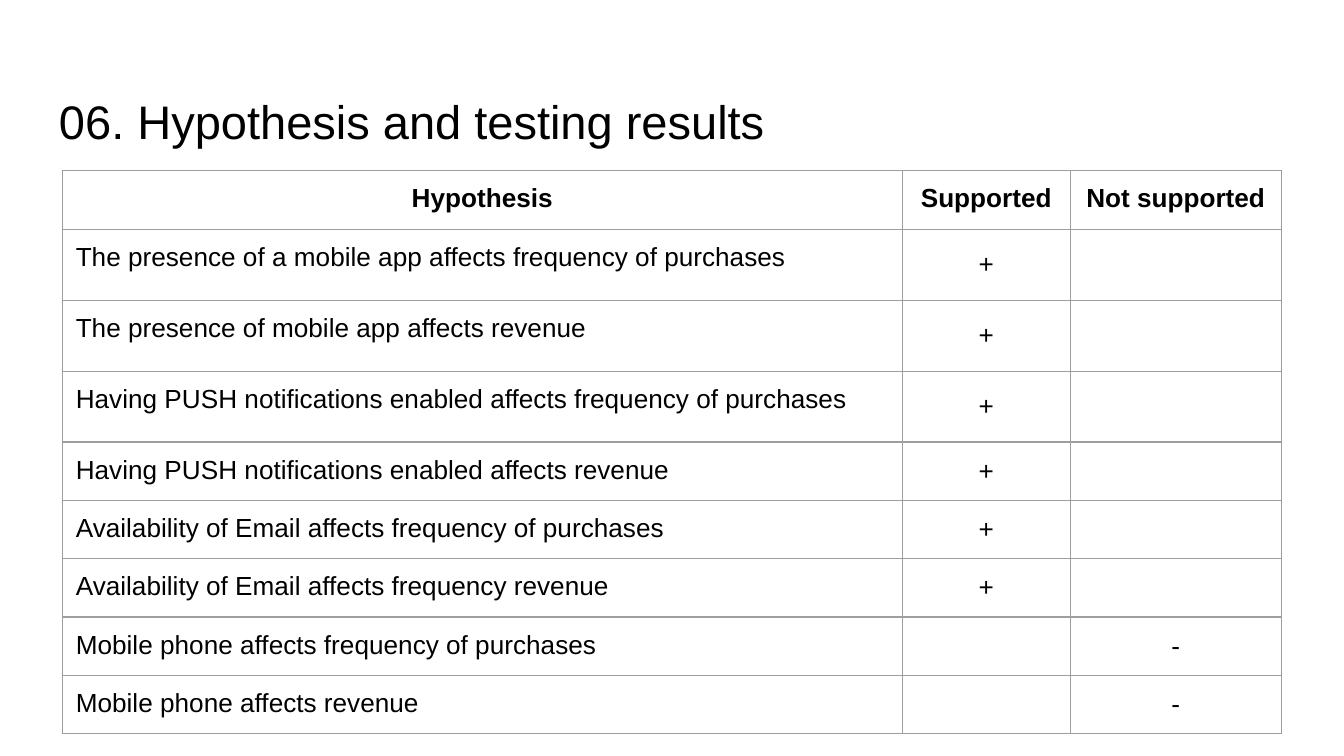
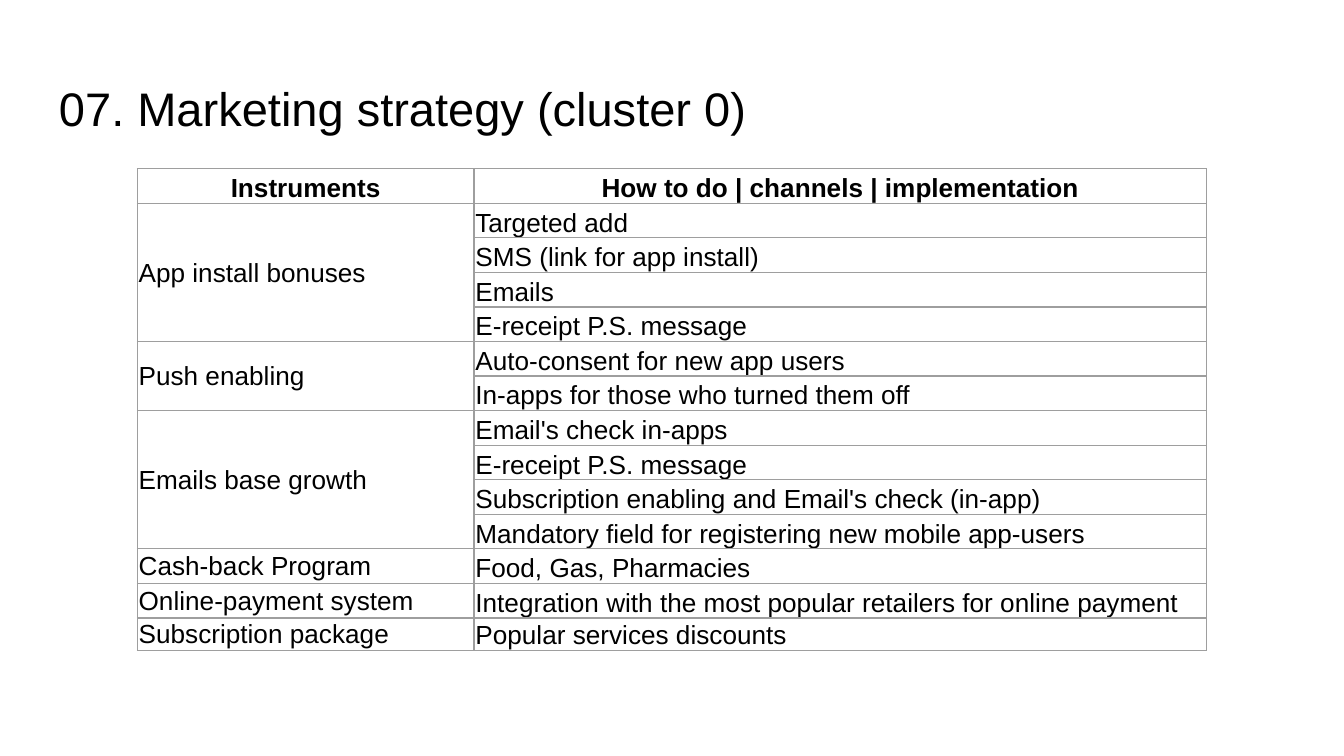
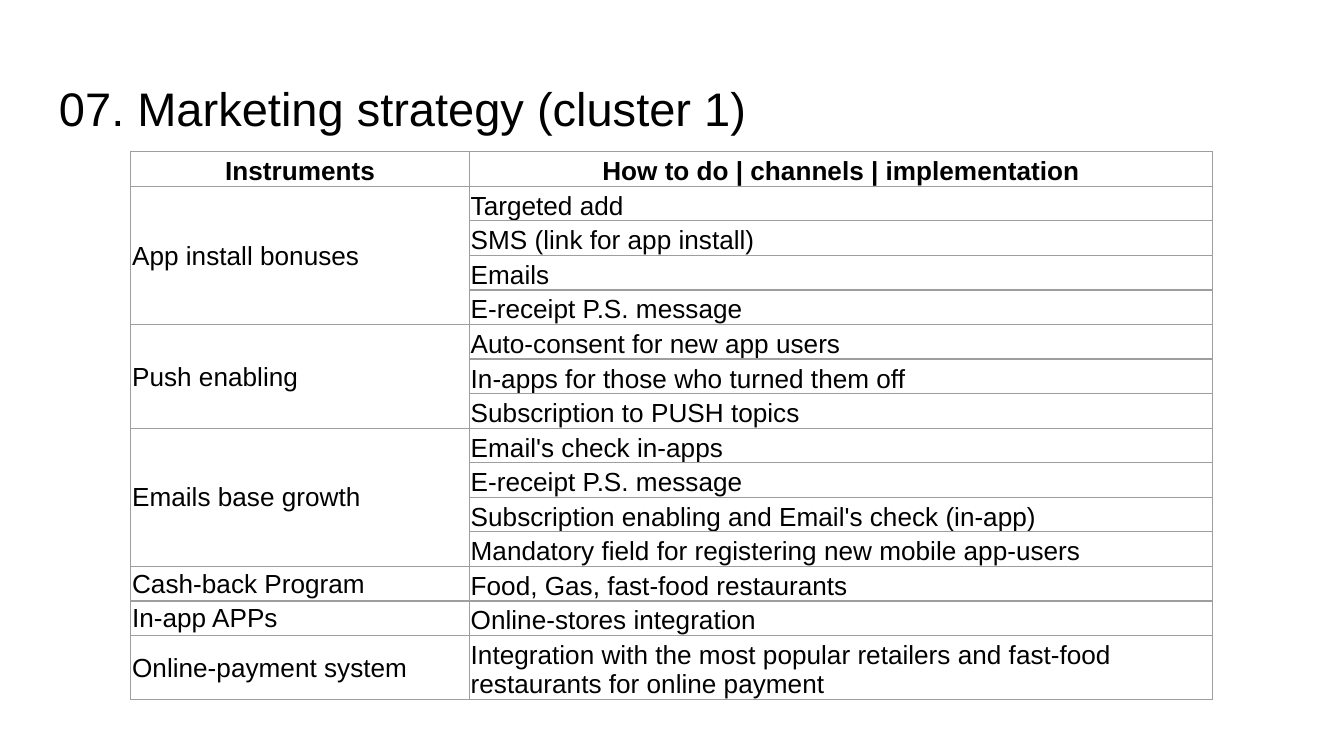
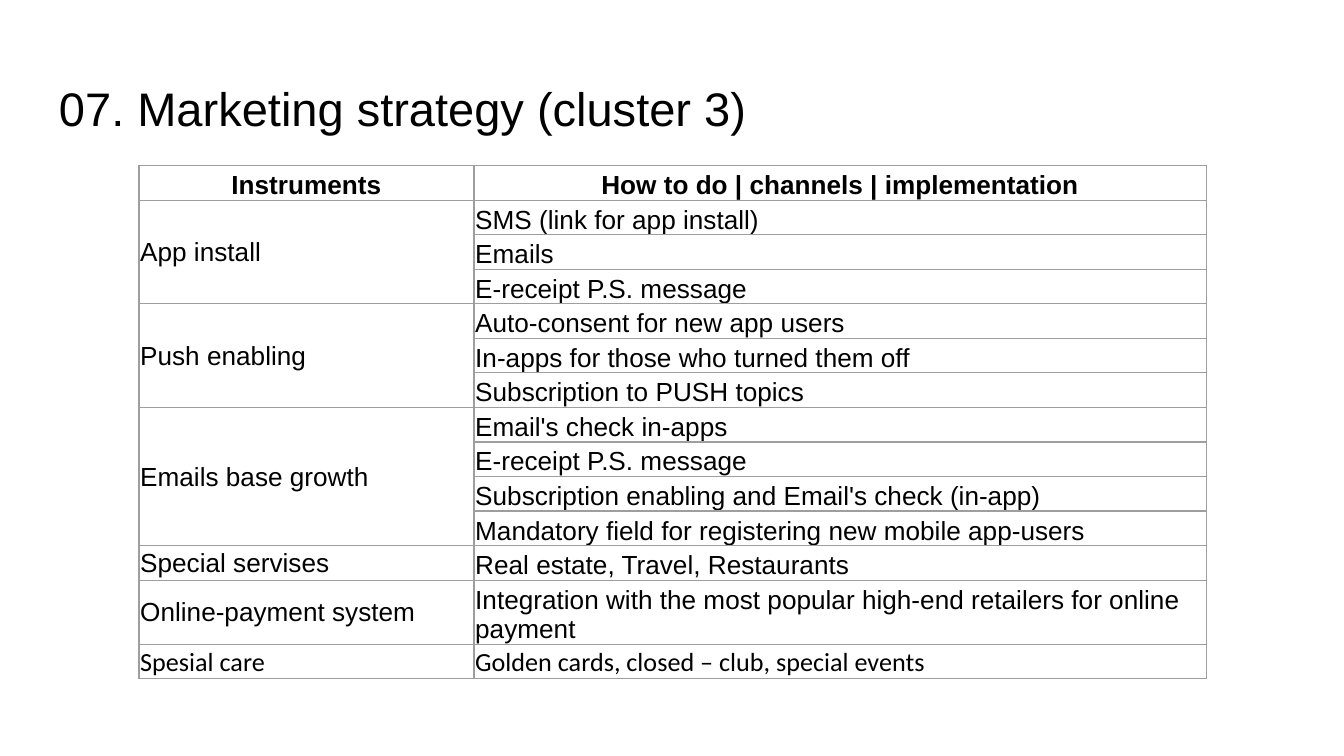
from dataclasses import dataclass

from lxml import etree
from pptx import Presentation
from pptx import util as u
from pptx.dml import color
from pptx.enum import text
from pptx.oxml import ns

Pt = u.Pt
ALIGN = text.PP_ALIGN
ANCHOR = text.MSO_ANCHOR


@dataclass(frozen=True)
class Theme:
    ink: color.RGBColor = color.RGBColor(0, 0, 0)
    paper: color.RGBColor = color.RGBColor(255, 255, 255)
    grid: str = "9E9E9E"
    grid_width: float = 0.75
    font: str = "Arial"
    accent_font: str = "Calibri"
    title_size: float = 25.2
    cell_size: float = 14


theme = Theme()


def add_span(frame, words, size, font=theme.font, bold=False, align=ALIGN.LEFT):
    para = frame.paragraphs[0]
    para.alignment = align
    span = para.add_run()
    span.text = words
    span.font.name = font
    span.font.size = Pt(size)
    span.font.bold = bold
    span.font.color.rgb = theme.ink


def add_titled_table(deck, title, title_top, corner, widths, heights):
    page = deck.slides.add_slide(deck.slide_layouts[6])
    page.background.fill.solid()
    page.background.fill.fore_color.rgb = theme.paper
    box = page.shapes.add_textbox(Pt(24.5), Pt(title_top), Pt(671), Pt(45.1))
    frame = box.text_frame
    frame.word_wrap = True
    frame.margin_left = frame.margin_right = Pt(7.2)
    frame.margin_top = frame.margin_bottom = Pt(7.2)
    add_span(frame, title, theme.title_size)

    left, top = corner
    table = page.shapes.add_table(
        len(heights), len(widths), Pt(left), Pt(top), Pt(sum(widths)), Pt(sum(heights))
    ).table
    table.first_row = table.horz_banding = False
    for column, width in zip(table.columns, widths):
        column.width = Pt(width)
    for row, height in zip(table.rows, heights):
        row.height = Pt(height)
    for cell in table.iter_cells():
        properties = cell._tc.get_or_add_tcPr()
        for side in ("a:lnL", "a:lnR", "a:lnT", "a:lnB"):
            line = etree.SubElement(properties, ns.qn(side), w=str(Pt(theme.grid_width)))
            fill = etree.SubElement(line, ns.qn("a:solidFill"))
            etree.SubElement(fill, ns.qn("a:srgbClr"), val=theme.grid)
        cell.fill.background()
    return table


deck = Presentation()
deck.slide_width, deck.slide_height = Pt(720), Pt(405)

hypotheses = [
    ("Hypothesis", "Supported", "Not supported"),
    ("The presence of a mobile app affects frequency of purchases", "+", ""),
    ("The presence of mobile app affects revenue", "+", ""),
    ("Having PUSH notifications enabled affects frequency of purchases", "+", ""),
    ("Having PUSH notifications enabled affects revenue", "+", ""),
    ("Availability of Email affects frequency of purchases", "+", ""),
    ("Availability of Email affects frequency revenue", "+", ""),
    ("Mobile phone affects frequency of purchases", "", "-"),
    ("Mobile phone affects revenue", "", "-"),
]
results = add_titled_table(
    deck, "06. Hypothesis and testing results", 42.5, (33.4, 91.3),
    (450, 90, 113), [31.6] + [38] * 3 + [30.95] * 5,
)
for row, entries in enumerate(hypotheses):
    for column, words in enumerate(entries):
        if not words:
            continue
        cell = results.cell(row, column)
        cell.margin_left = cell.margin_right = Pt(7.2)
        cell.margin_top = cell.margin_bottom = Pt(7.2)
        header = row == 0
        mark = column > 0
        cell.vertical_anchor = ANCHOR.MIDDLE if mark and not header else ANCHOR.TOP
        add_span(
            cell.text_frame, words, theme.cell_size, bold=header,
            align=ALIGN.CENTER if header or mark else ALIGN.LEFT,
        )

heading = ("Instruments", ["How to do | channels | implementation"])
install_channels = ["SMS (link for app install)", "Emails", "E-receipt P.S. message"]
install_bonuses = ("App install bonuses", ["Targeted add"] + install_channels)
push_channels = ["Auto-consent for new app users", "In-apps for those who turned them off"]
push_topics = ("Push enabling", push_channels + ["Subscription to PUSH topics"])
email_growth = (
    "Emails base growth",
    [
        "Email's check in-apps",
        "E-receipt P.S. message",
        "Subscription enabling and Email's check (in-app)",
        "Mandatory field for registering new mobile app-users",
    ],
)
special_care = ("Spesial care", ["Golden cards, closed – club, special events"])

strategies = [
    (
        0, (73.6, 90.4), (180.4, 392.4), 17.4,
        [
            heading,
            install_bonuses,
            ("Push enabling", push_channels),
            email_growth,
            ("Cash-back Program", ["Food, Gas, Pharmacies"]),
            ("Online-payment system",
             ["Integration with the most popular retailers for online payment"]),
            ("Subscription package", ["Popular services discounts"]),
        ],
    ),
    (
        1, (70.1, 81.3), (181.4, 398.2), 18.5,
        [
            heading,
            install_bonuses,
            push_topics,
            email_growth,
            ("Cash-back Program", ["Food, Gas, fast-food restaurants"]),
            ("In-app APPs", ["Online-stores integration"]),
            ("Online-payment system",
             ["Integration with the most popular retailers and fast-food "
              "restaurants for online payment"]),
        ],
    ),
    (
        3, (74.4, 88.7), (179.5, 392.4), 18.5,
        [
            heading,
            ("App install", install_channels),
            push_topics,
            email_growth,
            ("Special servises", ["Real estate, Travel, Restaurants"]),
            ("Online-payment system",
             ["Integration with the most popular high-end retailers for online payment"]),
            special_care,
        ],
    ),
]

for cluster, corner, widths, last_height, groups in strategies:
    count = sum(len(channels) for instrument, channels in groups)
    table = add_titled_table(
        deck, f"07. Marketing strategy (cluster {cluster})", 35.3, corner,
        widths, [18.52] * (count - 1) + [last_height],
    )
    row = 0
    for group in groups:
        instrument, channels = group
        header = group is heading
        font = theme.accent_font if group is special_care else theme.font
        first = table.cell(row, 0)
        if len(channels) > 1:
            first.merge(table.cell(row + len(channels) - 1, 0))
        entries = [(first, instrument, ANCHOR.BOTTOM if header else ANCHOR.MIDDLE)]
        for channel in channels:
            entries.append((table.cell(row, 1), channel, ANCHOR.BOTTOM))
            row += 1
        for cell, words, anchor in entries:
            cell.margin_left = cell.margin_right = cell.margin_top = Pt(0.7)
            cell.margin_bottom = 0
            cell.vertical_anchor = anchor
            add_span(
                cell.text_frame, words, theme.cell_size, font, header,
                ALIGN.CENTER if header else ALIGN.LEFT,
            )

deck.save("out.pptx")
